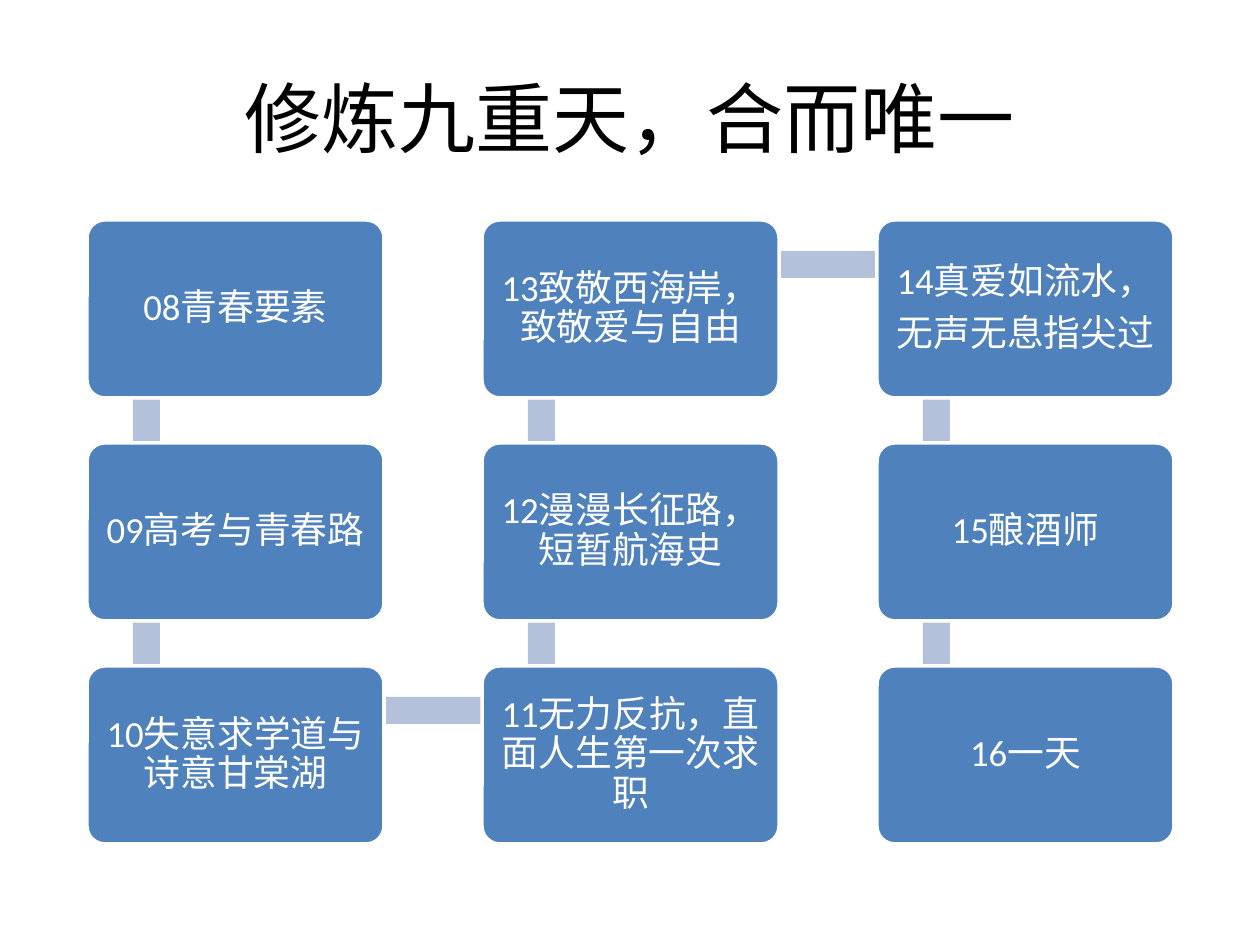
import pptx
import pptx.dml.color
import pptx.enum.shapes
import pptx.enum.text
import pptx.util

PX = 914400 / 126
CARD_WIDTH, CARD_HEIGHT = 297, 178
COLUMN_STEP, ROW_STEP = 395, 223
BAR_THICKNESS = 27
SHAPES = pptx.enum.shapes.MSO_SHAPE


def px(length):
    return pptx.util.Emu(round(length * PX))


def color(value):
    return pptx.dml.color.RGBColor.from_string(value)


presentation = pptx.Presentation()
presentation.slide_width = px(1260)
presentation.slide_height = px(945)
slide = presentation.slides.add_slide(presentation.slide_layouts[5])

title = slide.shapes.title
title.left, title.top, title.width, title.height = px(63), px(38), px(1134), px(157)
title.text_frame.text = "修炼九重天，合而唯一"
title.text_frame.vertical_anchor = pptx.enum.text.MSO_ANCHOR.MIDDLE
paragraph = title.text_frame.paragraphs[0]
paragraph.alignment = pptx.enum.text.PP_ALIGN.CENTER
paragraph.font.size = pptx.util.Pt(44)
paragraph.font.name = "Calibri"
paragraph.font.color.rgb = color("000000")

steps = [
    (0, 0, "08青春要素"),
    (0, 1, "09高考与青春路"),
    (0, 2, "10失意求学道与诗意甘棠湖"),
    (1, 2, "11无力反抗，直面人生第一次求职"),
    (1, 1, "12漫漫长征路，短暂航海史"),
    (1, 0, "13致敬西海岸，致敬爱与自由"),
    (2, 0, "14真爱如流水，\n无声无息指尖过"),
    (2, 1, "15酿酒师"),
    (2, 2, "16一天"),
]

for index, (column, row, text) in enumerate(steps):
    left = 87 + column * COLUMN_STEP
    top = 220 + row * ROW_STEP

    if index + 1 < len(steps):
        next_column, next_row, _ = steps[index + 1]
        if next_column == column:
            bar_top = 265 + min(row, next_row) * ROW_STEP
            bounds = (left + 46, bar_top, BAR_THICKNESS, ROW_STEP)
        else:
            bounds = (left + 60, top + 31, COLUMN_STEP, BAR_THICKNESS)
        bar = slide.shapes.add_shape(SHAPES.RECTANGLE, *map(px, bounds))
        bar.shadow.inherit = False
        bar.fill.solid()
        bar.fill.fore_color.rgb = color("B3C1DB")
        bar.line.fill.background()

    card = slide.shapes.add_shape(
        SHAPES.ROUNDED_RECTANGLE, px(left), px(top), px(CARD_WIDTH), px(CARD_HEIGHT)
    )
    card.adjustments[0] = 0.1
    card.shadow.inherit = False
    card.fill.solid()
    card.fill.fore_color.rgb = color("4F81BD")
    card.line.color.rgb = color("FFFFFF")
    card.line.width = pptx.util.Pt(2)

    frame = card.text_frame
    frame.text = text
    frame.word_wrap = True
    frame.vertical_anchor = pptx.enum.text.MSO_ANCHOR.MIDDLE
    frame.margin_left = frame.margin_right = px(11)
    frame.margin_top = frame.margin_bottom = px(11)
    for paragraph in frame.paragraphs:
        paragraph.alignment = pptx.enum.text.PP_ALIGN.CENTER
        paragraph.line_spacing = 0.9
        paragraph.space_after = pptx.util.Pt(7)
        paragraph.font.size = pptx.util.Pt(21)
        paragraph.font.name = "Calibri"
        paragraph.font.color.rgb = color("FFFFFF")

presentation.save("out.pptx")
